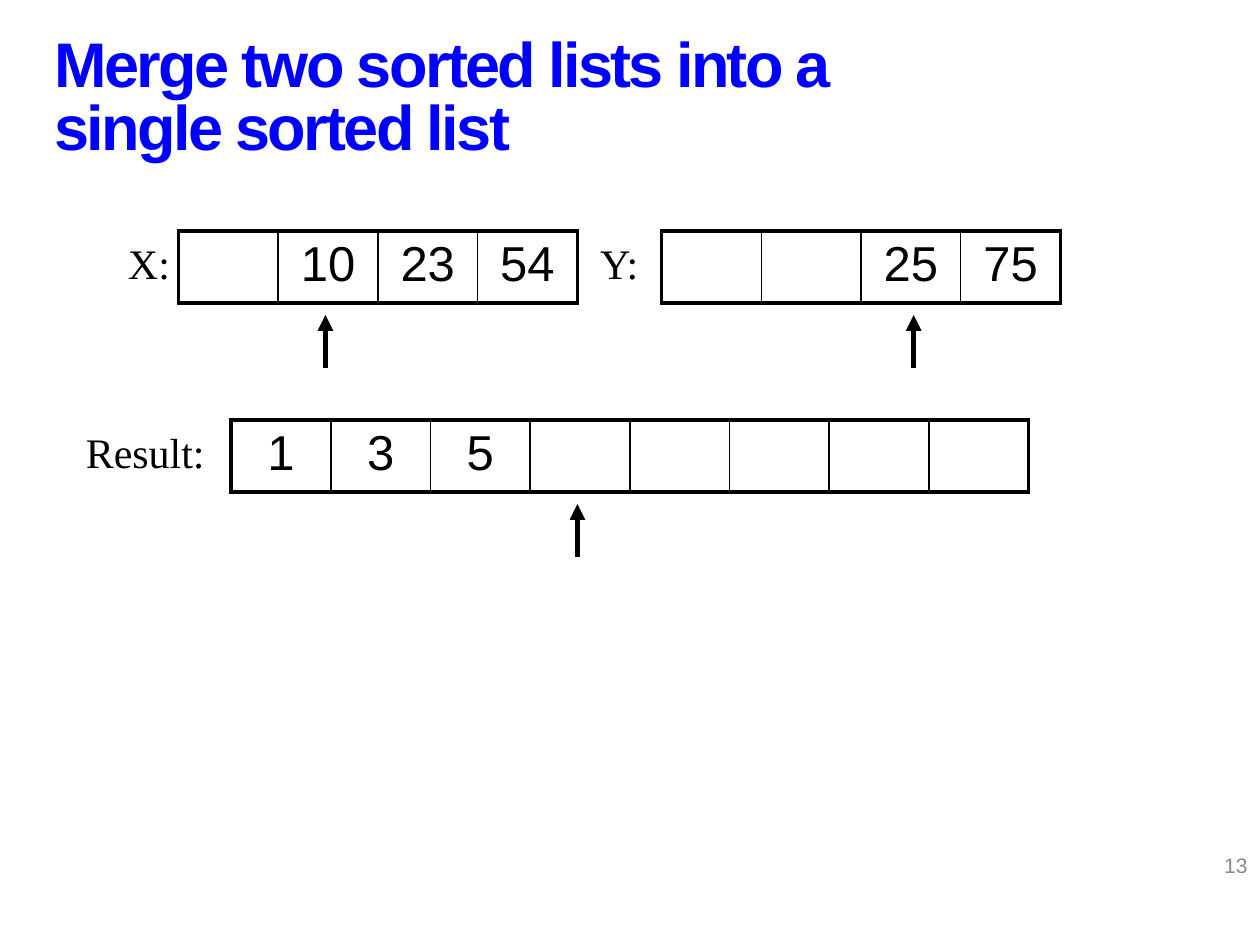
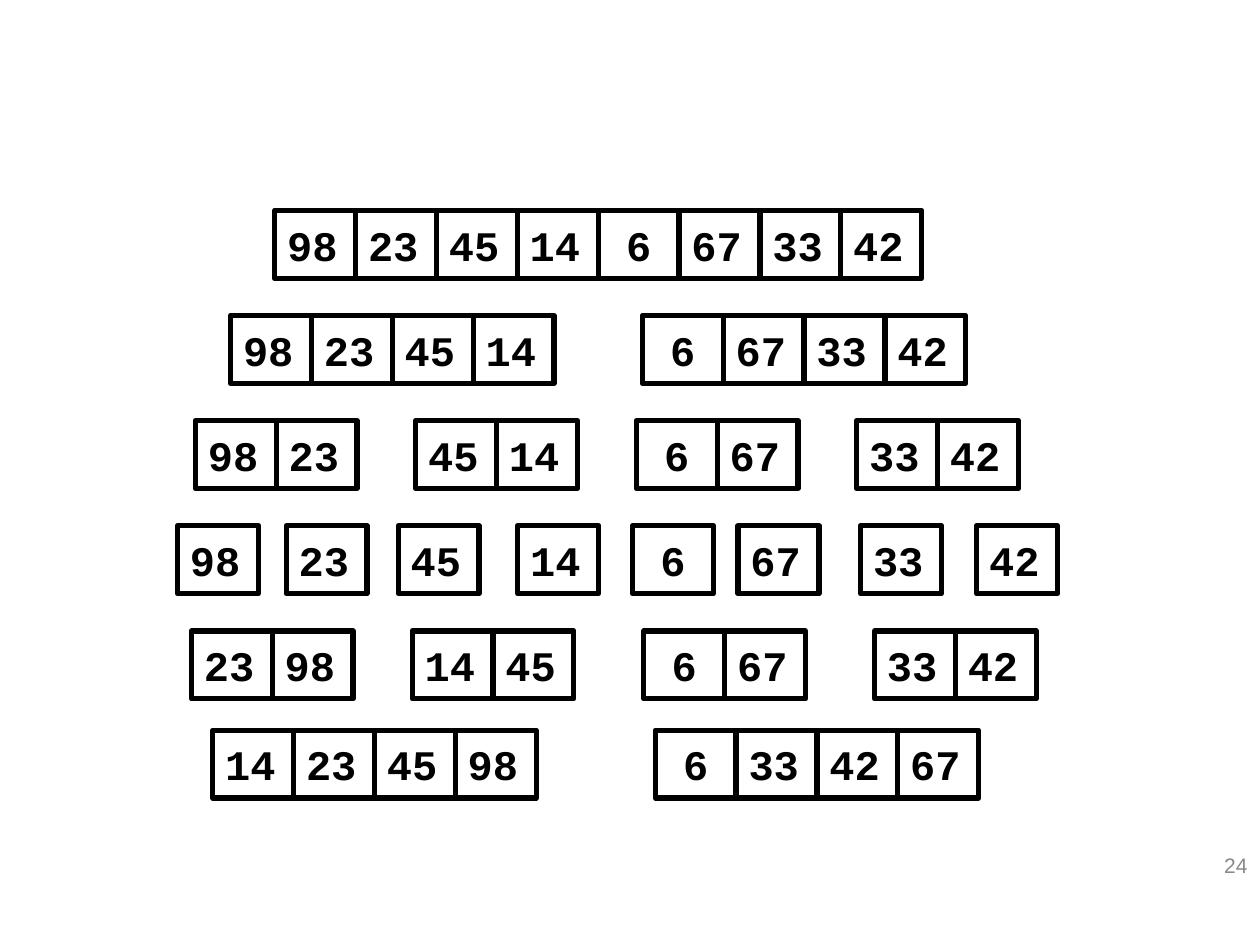
from lxml import etree
from pptx import Presentation
from pptx import util as u
from pptx.dml.color import RGBColor
from pptx.enum import shapes, text
from pptx.oxml import ns

Cm, Pt = u.Cm, u.Pt
HUES = {"ink": "000000", "title": "0000FF", "page": "898989"}
LEFT, MID, RIGHT = text.PP_ALIGN.LEFT, text.PP_ALIGN.CENTER, text.PP_ALIGN.RIGHT
TOP, HALF = text.MSO_ANCHOR.TOP, text.MSO_ANCHOR.MIDDLE

FONTS = {
    "title": {"name": "Arial", "size": Pt(36), "bold": True},
    "page": {"name": "Arial", "size": Pt(12)},
    "cell": {"name": "Arial", "size": Pt(28)},
    "label": {"name": "Times New Roman", "size": Pt(24)},
    "box": {"name": "Courier New", "size": Pt(24), "bold": True},
}


def sub(parent, tag, **attrs):
    return etree.SubElement(parent, ns.qn(tag), attrs)


class Deck:
    COL, ROW = 2.01, 1.45      # table cell
    BOX_W, BOX_H = 1.63, 1.37  # number box

    def __init__(self):
        self.prs = Presentation()
        self.prs.slide_width, self.prs.slide_height = Cm(25.4), Cm(19.05)
        self.slide = None

    def add(self, page, title=None):
        """Start a slide with its page number and, if given, a title."""
        layout = self.prs.slide_layouts[5 if title else 6]
        self.slide = self.prs.slides.add_slide(layout)
        if title:
            self.title(title)
        self.label(page, 19.48, 16.94, 5.92, 1.02, "page", RIGHT, HALF)

    def put(self, frame, words, style, hue="ink", align=LEFT):
        """Put styled words into the first paragraph of a text frame."""
        para = frame.paragraphs[0]
        para.alignment = align
        run = para.add_run()
        run.text = words
        for key, value in FONTS[style].items():
            setattr(run.font, key, value)
        run.font.color.rgb = RGBColor.from_string(HUES[hue])
        return para, run

    def title(self, words):
        shape = self.slide.shapes.title
        place = {"left": 0.84, "top": 0.43, "width": 17.58, "height": 3.18}
        for key, value in place.items():
            setattr(shape, key, Cm(value))
        frame = shape.text_frame
        frame.auto_size = text.MSO_AUTO_SIZE.NONE
        frame.vertical_anchor = HALF
        para, run = self.put(frame, words, "title", "title")
        para.line_spacing = Pt(36)
        run.font._element.set("spc", "-150")

    def label(self, words, x, y, w, h=1.27, style="label", align=LEFT, anchor=TOP):
        shape = self.slide.shapes.add_textbox(Cm(x), Cm(y), Cm(w), Cm(h))
        frame = shape.text_frame
        frame.word_wrap = True
        frame.vertical_anchor = anchor
        hue = style if style in HUES else "ink"
        self.put(frame, words, style, hue, align)

    def edge(self, cell, heavy):
        """Draw the four borders; sides named in heavy are thicker."""
        props = cell._tc.get_or_add_tcPr()
        for spot, side in enumerate("LRTB"):
            width = Pt(2.25 if side in heavy else 1)
            line = sub(props, f"a:ln{side}", w=str(int(width)))
            sub(sub(line, "a:solidFill"), "a:srgbClr", val=HUES["ink"])
            props.insert(spot, line)

    def array(self, values, x, y):
        """Draw a list as a one-row table; None leaves a cell empty."""
        count = len(values)
        frame = self.slide.shapes.add_table(
            1, count, Cm(x), Cm(y), Cm(self.COL * count), Cm(self.ROW))
        table = frame.table
        table.first_row = table.horz_banding = False
        for i, value in enumerate(values):
            table.columns[i].width = Cm(self.COL)
            cell = table.cell(0, i)
            cell.fill.background()
            heavy = "TB" + "L" * (i == 0) + "R" * (i == count - 1)
            self.edge(cell, heavy)
            if value is not None:
                self.put(cell.text_frame, str(value), "cell", align=MID)

    def arrow(self, x, y):
        """Draw an arrow that points up to (x, y)."""
        line = self.slide.shapes.add_connector(
            shapes.MSO_CONNECTOR.STRAIGHT, Cm(x), Cm(y + 1.06), Cm(x), Cm(y))
        line.line.width = Pt(3)
        line.line.color.rgb = RGBColor.from_string(HUES["ink"])
        sub(line.line._get_or_add_ln(), "a:tailEnd", type="triangle")
        sub(line._element.spPr, "a:effectLst")

    def box(self, value, x, y):
        shape = self.slide.shapes.add_shape(
            shapes.MSO_SHAPE.RECTANGLE, Cm(x), Cm(y), Cm(self.BOX_W), Cm(self.BOX_H))
        shape.shadow.inherit = False
        shape.fill.background()
        shape.line.width = Pt(3)
        shape.line.color.rgb = RGBColor.from_string(HUES["ink"])
        frame = shape.text_frame
        frame.word_wrap = False
        frame.vertical_anchor = HALF
        self.put(frame, str(value), "box", align=MID if value < 10 else LEFT)

    def group(self, values, x, y):
        for i, value in enumerate(values):
            self.box(value, x + i * self.BOX_W, y)


def merge(deck):
    deck.add("13", "Merge two sorted lists into a single sorted list")
    upper, lower = 4.66, 8.47
    deck.array([None, 10, 23, 54], 3.6, upper)
    deck.array([None, None, 25, 75], 13.34, upper)
    deck.array([1, 3, 5] + [None] * 5, 4.66, lower)
    for x, y in ((6.56, upper), (18.42, upper), (11.64, lower)):
        deck.arrow(x, y + 1.69)
    deck.label("X:", 2.33, upper, 1.48)
    deck.label("Y:", 11.85, upper, 1.48)
    deck.label("Result:", 1.48, lower, 2.96)


def sort(deck):
    deck.add("24")
    start = [98, 23, 45, 14, 6, 67, 33, 42]
    pairs = [23, 98, 14, 45, 6, 67, 33, 42]
    fours = [14, 23, 45, 98, 6, 33, 42, 67]
    levels = [
        (start, [5.54]),
        (start, [4.65, 12.95]),
        (start, [3.94, 8.38, 12.83, 17.27]),
        (start, [3.58, 5.77, 8.03, 10.44, 12.75, 14.88, 17.35, 19.69]),
        (pairs, [3.86, 8.31, 12.98, 17.63]),
        (fours, [4.29, 13.21]),
    ]
    for row, (values, lefts) in enumerate(levels):
        y = min(4.24 + 2.12 * row, 14.72)
        size = len(values) // len(lefts)
        for i, x in enumerate(lefts):
            deck.group(values[i * size:(i + 1) * size], x, y)


def main():
    deck = Deck()
    merge(deck)
    sort(deck)
    deck.prs.save("out.pptx")


if __name__ == "__main__":
    main()
